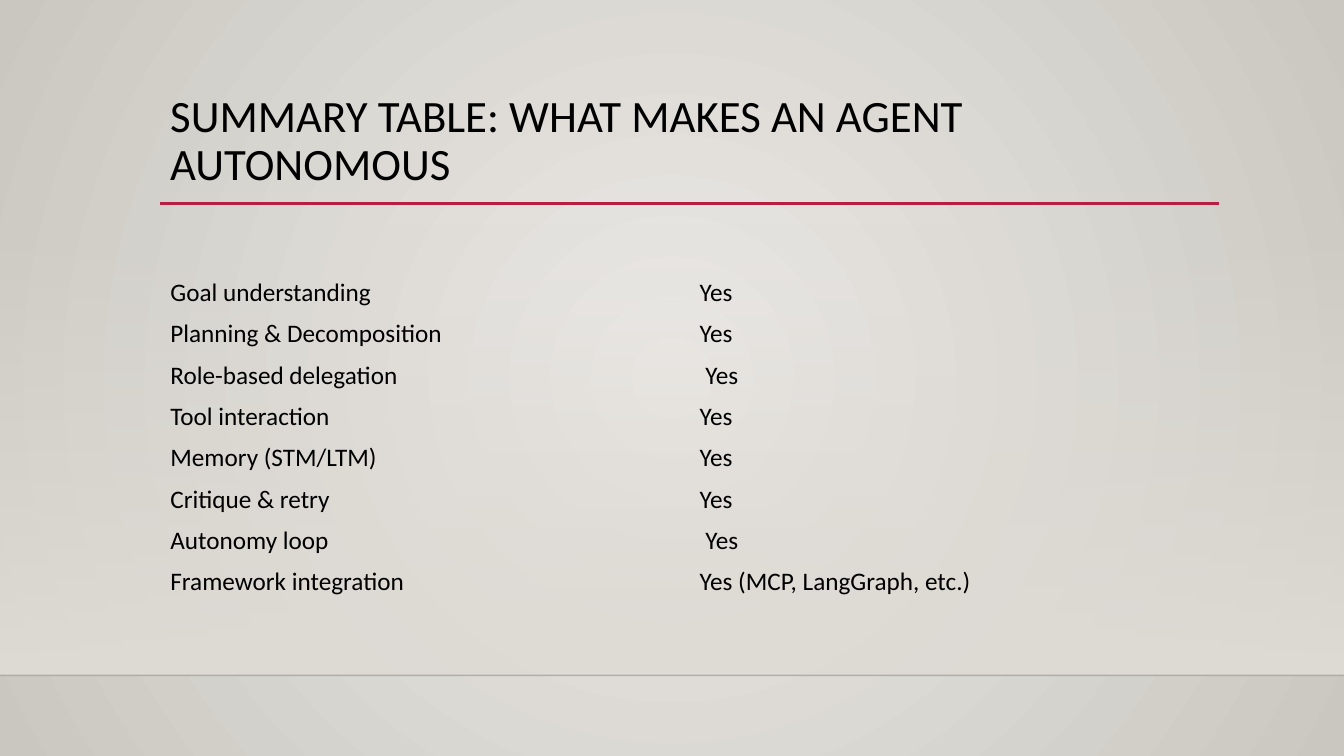
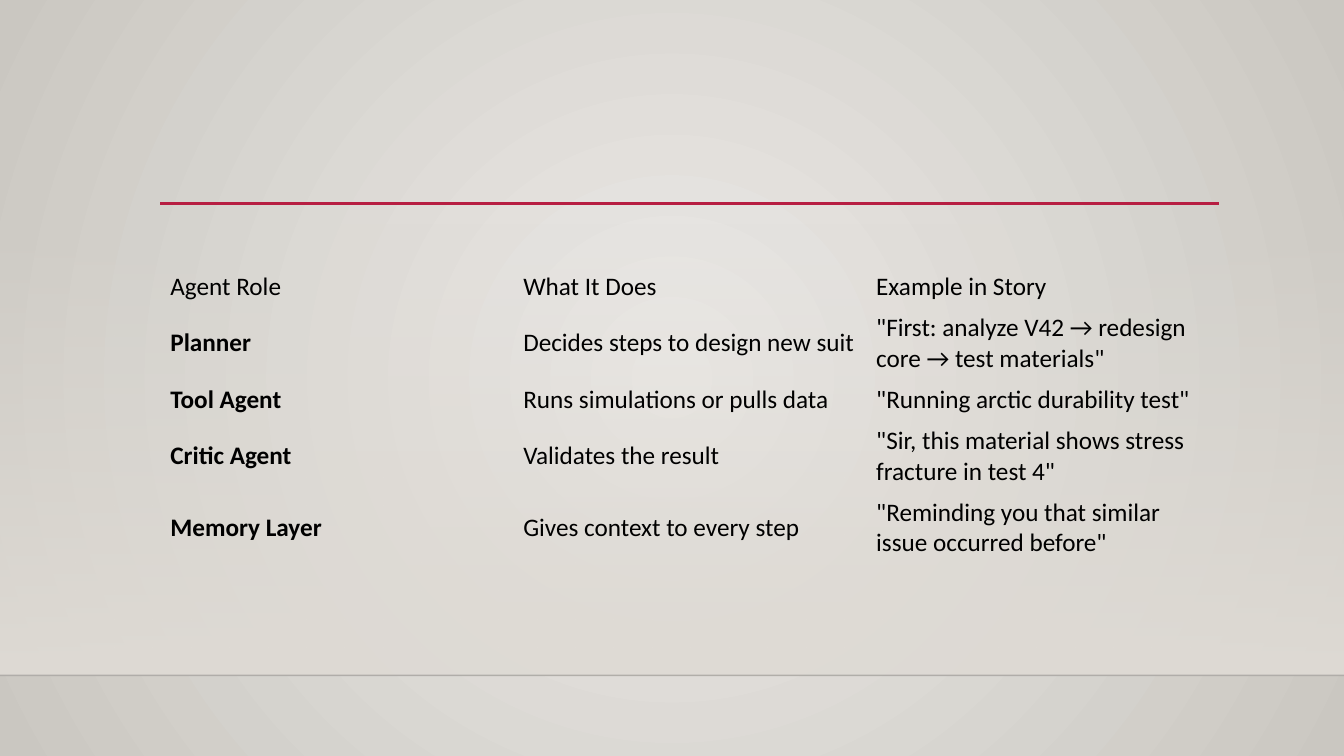
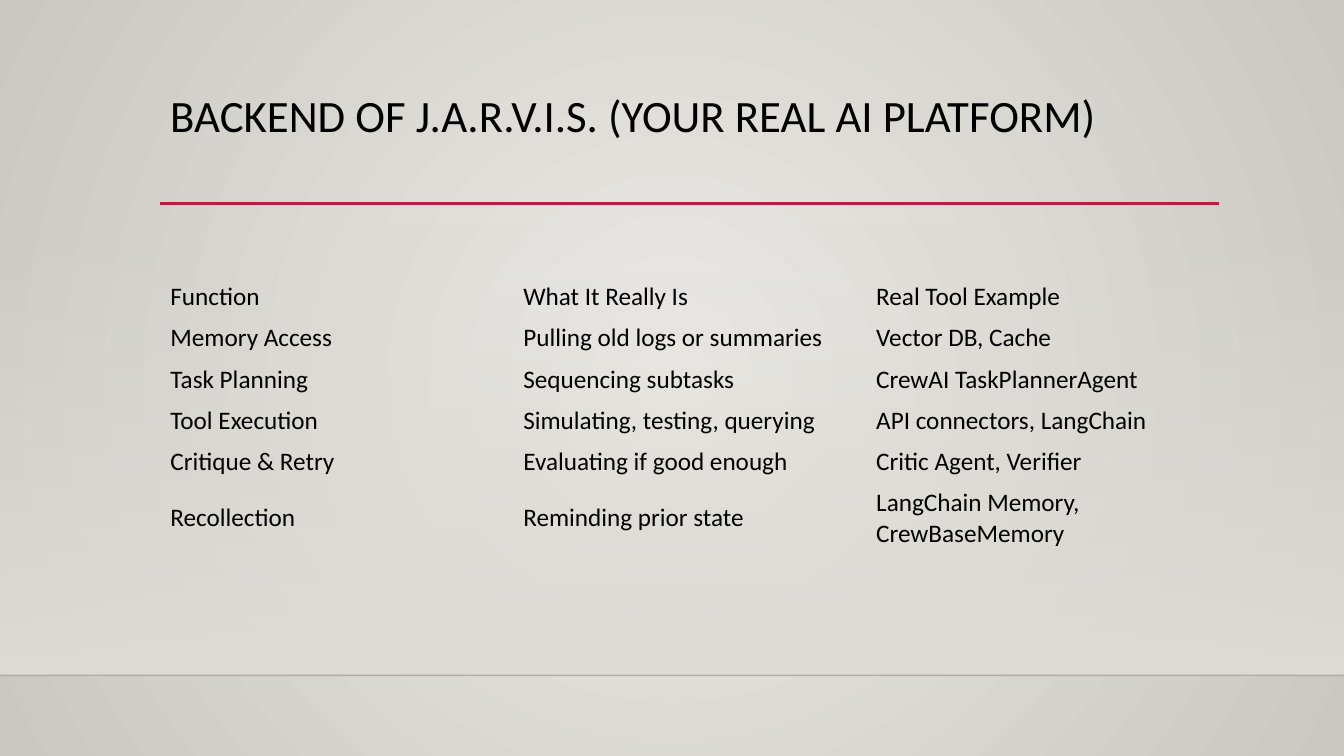
from lxml import etree
from pptx import Presentation
from pptx.dml.color import RGBColor
from pptx.enum.shapes import MSO_CONNECTOR, MSO_SHAPE
from pptx.enum.text import MSO_ANCHOR
from pptx.oxml.ns import qn
from pptx.util import Inches, Pt

STRAIGHT = MSO_CONNECTOR.STRAIGHT
RECTANGLE = MSO_SHAPE.RECTANGLE
MIDDLE, TOP = MSO_ANCHOR.MIDDLE, MSO_ANCHOR.TOP

# Content: title, top of the table, bold first column, rows
SLIDES = [
    dict(title="SUMMARY TABLE: WHAT MAKES AN AGENT AUTONOMOUS", top=2.29, bold=False, rows=[
        ("", ""),
        ("Goal understanding", "Yes"),
        ("Planning & Decomposition", "Yes"),
        ("Role-based delegation", " Yes"),
        ("Tool interaction", "Yes"),
        ("Memory (STM/LTM)", "Yes"),
        ("Critique & retry", "Yes"),
        ("Autonomy loop", " Yes"),
        ("Framework integration", "Yes (MCP, LangGraph, etc.)"),
    ]),
    dict(title=None, top=2.64, bold=True, rows=[
        ("Agent Role", "What It Does", "Example in Story"),
        ("Planner", "Decides steps to design new suit",
         '"First: analyze V42 → redesign core → test materials"'),
        ("Tool Agent", "Runs simulations or pulls data", '"Running arctic durability test"'),
        ("Critic Agent", "Validates the result",
         '"Sir, this material shows stress fracture in test 4"'),
        ("Memory Layer", "Gives context to every step",
         '"Reminding you that similar issue occurred before"'),
    ]),
    dict(title="BACKEND OF J.A.R.V.I.S. (YOUR REAL AI PLATFORM)", top=2.74, bold=False, rows=[
        ("Function", "What It Really Is", "Real Tool Example"),
        ("Memory Access", "Pulling old logs or summaries", "Vector DB, Cache"),
        ("Task Planning", "Sequencing subtasks", "CrewAI TaskPlannerAgent"),
        ("Tool Execution", "Simulating, testing, querying", "API connectors, LangChain"),
        ("Critique & Retry", "Evaluating if good enough", "Critic Agent, Verifier"),
        ("Recollection", "Reminding prior state", "LangChain Memory, CrewBaseMemory"),
    ]),
]

# Shared look
WIDTH, HEIGHT = 13.33, 7.5
LEFT, CONTENT_W = 1.59, 10.5
BAND_TOP, BAND_BOTTOM = 2.21, 6.7
ROW_H = 0.41
FONT, INK, ACCENT = "Calibri", "000000", "B71E42"
BG_COLOURS = ("ECEAE7", "CAC7C1")
BAND_COLOUR, FLOOR_COLOUR = "DFDBD5", "000001"
NO_GRID_STYLE = "{2D5ABB26-0587-4C30-8999-92F81FD0307C}"


def rgb(value):
    return RGBColor.from_string(value)


def set_alpha(element, percent):
    """Make the first colour in the element partly transparent."""
    colour = element.find(".//" + qn("a:srgbClr"))
    etree.SubElement(colour, qn("a:alpha"), val=str(percent * 1000))


def set_gradient(fill, colours):
    fill.gradient()
    for stop, colour in zip(fill.gradient_stops, colours):
        stop.color.rgb = rgb(colour)


def set_background(master):
    set_gradient(master.background.fill, BG_COLOURS)
    lin = master.element.find(".//" + qn("p:bg")).find(".//" + qn("a:lin"))
    circle = etree.Element(qn("a:path"), attrib={"path": "circle"})
    etree.SubElement(circle, qn("a:fillToRect"), l="50000", t="50000", r="50000", b="50000")
    lin.getparent().replace(lin, circle)


def add_line(s, x1, x2, y, colour, width):
    line = s.shapes.add_connector(STRAIGHT, Inches(x1), Inches(y), Inches(x2), Inches(y))
    line.line.color.rgb = rgb(colour)
    line.line.width = Pt(width)
    etree.SubElement(line.element.spPr, qn("a:effectLst"))
    return line


def add_frame(s):
    """Fading band, floor line and title rule."""
    band = s.shapes.add_shape(RECTANGLE, 0, Inches(BAND_TOP), Inches(WIDTH),
                              Inches(BAND_BOTTOM - BAND_TOP))
    band.shadow.inherit = False
    band.line.fill.background()
    set_gradient(band.fill, (BAND_COLOUR, BAND_COLOUR))
    band.fill.gradient_angle = 270
    set_alpha(band.element.spPr, 0)
    floor = add_line(s, 0, WIDTH, BAND_BOTTOM, FLOOR_COLOUR, 1)
    set_alpha(floor.element.spPr, 20)
    add_line(s, LEFT, LEFT + CONTENT_W, 2.02, ACCENT, 2.5)


def write(tf, text, size, bold=False):
    p = tf.paragraphs[0]
    r = p.add_run()
    r.text = text
    for name, value in dict(name=FONT, size=Pt(size), bold=bold).items():
        setattr(r.font, name, value)
    r.font.color.rgb = rgb(INK)
    return p


def add_title(s, text):
    box = s.shapes.add_textbox(Inches(LEFT), Inches(0.88), Inches(CONTENT_W), Inches(1.15))
    tf = box.text_frame
    tf.word_wrap = True
    tf.vertical_anchor = TOP
    write(tf, text, 32).line_spacing = 0.9


def add_grid(s, rows, top, bold_first):
    cols = len(rows[0])
    table = s.shapes.add_table(len(rows), cols, Inches(LEFT), Inches(top),
                               Inches(CONTENT_W), Inches(ROW_H * len(rows))).table
    table.first_row = table.horz_banding = False
    table._tbl.tblPr.find(qn("a:tableStyleId")).text = NO_GRID_STYLE
    for i, row in enumerate(rows):
        for j, text in enumerate(row):
            cell = table.cell(i, j)
            cell.fill.background()
            cell.vertical_anchor = MIDDLE
            write(cell.text_frame, text, 18, bold_first and i > 0 and j == 0)


def main():
    prs = Presentation()
    prs.slide_width, prs.slide_height = Inches(WIDTH), Inches(HEIGHT)
    set_background(prs.slide_master)
    for content in SLIDES:
        s = prs.slides.add_slide(prs.slide_layouts[6])
        add_frame(s)
        if content["title"]:
            add_title(s, content["title"])
        add_grid(s, content["rows"], content["top"], content["bold"])
    prs.save("out.pptx")


if __name__ == "__main__":
    main()
